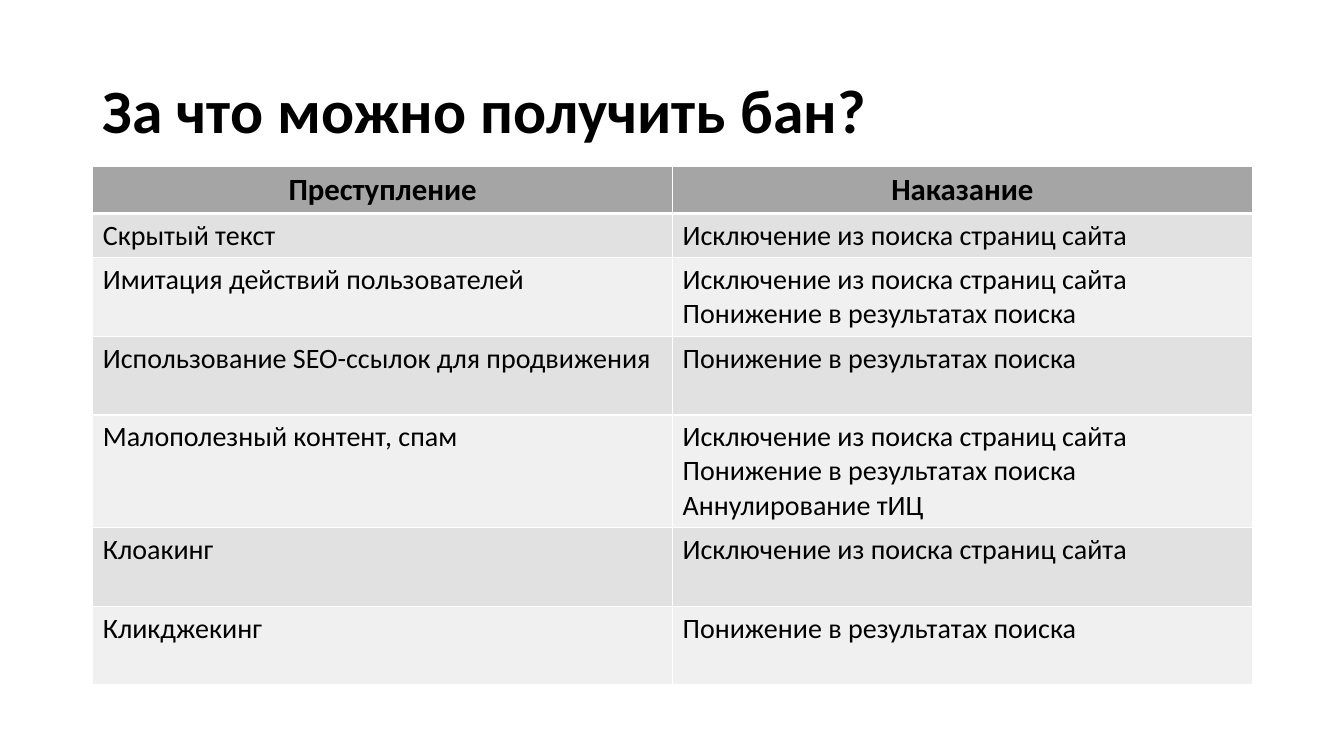
"""Build a slide with a table of search offences and their penalties."""
from lxml.etree import SubElement
from pptx import Presentation
from pptx.dml.color import RGBColor
from pptx.enum.text import MSO_ANCHOR as Anchor, PP_ALIGN as Align
from pptx.oxml.ns import qn
from pptx.util import Inches, Pt

TITLE = "За что можно получить бан?"
HEADINGS = ("Преступление", "Наказание")
EXCLUSION = "Исключение из поиска страниц сайта"
DEMOTION = "Понижение в результатах поиска"
ANNULMENT = "Аннулирование тИЦ"
OFFENCES = [
    ("Скрытый текст", [EXCLUSION], 0.44),
    ("Имитация действий пользователей", [EXCLUSION, DEMOTION], 0.78),
    ("Использование SEO-ссылок для продвижения", [DEMOTION], 0.78),
    ("Малополезный контент, спам", [EXCLUSION, DEMOTION, ANNULMENT], 1.12),
    ("Клоакинг", [EXCLUSION], 0.78),
    ("Кликджекинг", [DEMOTION], 0.78),
]

FONT = "Calibri"
BLACK = RGBColor(0x00, 0x00, 0x00)
WHITE = RGBColor(0xFF, 0xFF, 0xFF)
HEADER_GRAY = RGBColor(0xA5, 0xA5, 0xA5)
BANDS = (RGBColor(0xE1, 0xE1, 0xE1), RGBColor(0xF0, 0xF0, 0xF0))

LEFT, WIDTH = 0.92, 11.5
TITLE_TOP, TITLE_HEIGHT = 0.4, 1.45
TABLE_TOP, HEADER_HEIGHT = 1.65, 0.46


def write_text(frame, lines, size=20, bold=False, align=Align.LEFT, spacing=1.0):
    for index, line in enumerate(lines):
        paragraph = frame.add_paragraph() if index else frame.paragraphs[0]
        paragraph.alignment = align
        paragraph.line_spacing = spacing
        run = paragraph.add_run()
        run.text = line
        run.font.name = FONT
        run.font.size = Pt(size)
        run.font.bold = bold
        run.font.color.rgb = BLACK


def format_cell(cell, color, top=1, bottom=1):
    properties = cell._tc.get_or_add_tcPr()
    for side, width in (("L", 1), ("R", 1), ("T", top), ("B", bottom)):
        line = SubElement(properties, qn(f"a:ln{side}"), w=str(Pt(width)))
        fill = SubElement(line, qn("a:solidFill"))
        SubElement(fill, qn("a:srgbClr"), val=str(WHITE))
    cell.fill.solid()
    cell.fill.fore_color.rgb = color


def add_title(slide):
    box = slide.shapes.add_textbox(
        Inches(LEFT), Inches(TITLE_TOP), Inches(WIDTH), Inches(TITLE_HEIGHT))
    frame = box.text_frame
    frame.word_wrap = True
    frame.vertical_anchor = Anchor.MIDDLE
    write_text(frame, [TITLE], size=44, bold=True, spacing=0.9)


def add_offence_table(slide):
    heights = [HEADER_HEIGHT] + [height for _, _, height in OFFENCES]
    table = slide.shapes.add_table(
        len(heights), len(HEADINGS), Inches(LEFT), Inches(TABLE_TOP),
        Inches(WIDTH), Inches(sum(heights))).table
    for row, height in zip(table.rows, heights):
        row.height = Inches(height)
    for column, heading in enumerate(HEADINGS):
        cell = table.cell(0, column)
        format_cell(cell, HEADER_GRAY, bottom=3)
        write_text(cell.text_frame, [heading], size=22, bold=True, align=Align.CENTER)
    for index, (offence, penalties, _) in enumerate(OFFENCES):
        for column, lines in enumerate(([offence], penalties)):
            cell = table.cell(index + 1, column)
            format_cell(cell, BANDS[index % 2], top=1 if index else 3)
            write_text(cell.text_frame, lines)


def main():
    presentation = Presentation()
    presentation.slide_width = Inches(13.33)
    presentation.slide_height = Inches(7.5)
    slide = presentation.slides.add_slide(presentation.slide_layouts[6])
    add_title(slide)
    add_offence_table(slide)
    presentation.save("out.pptx")


if __name__ == "__main__":
    main()
